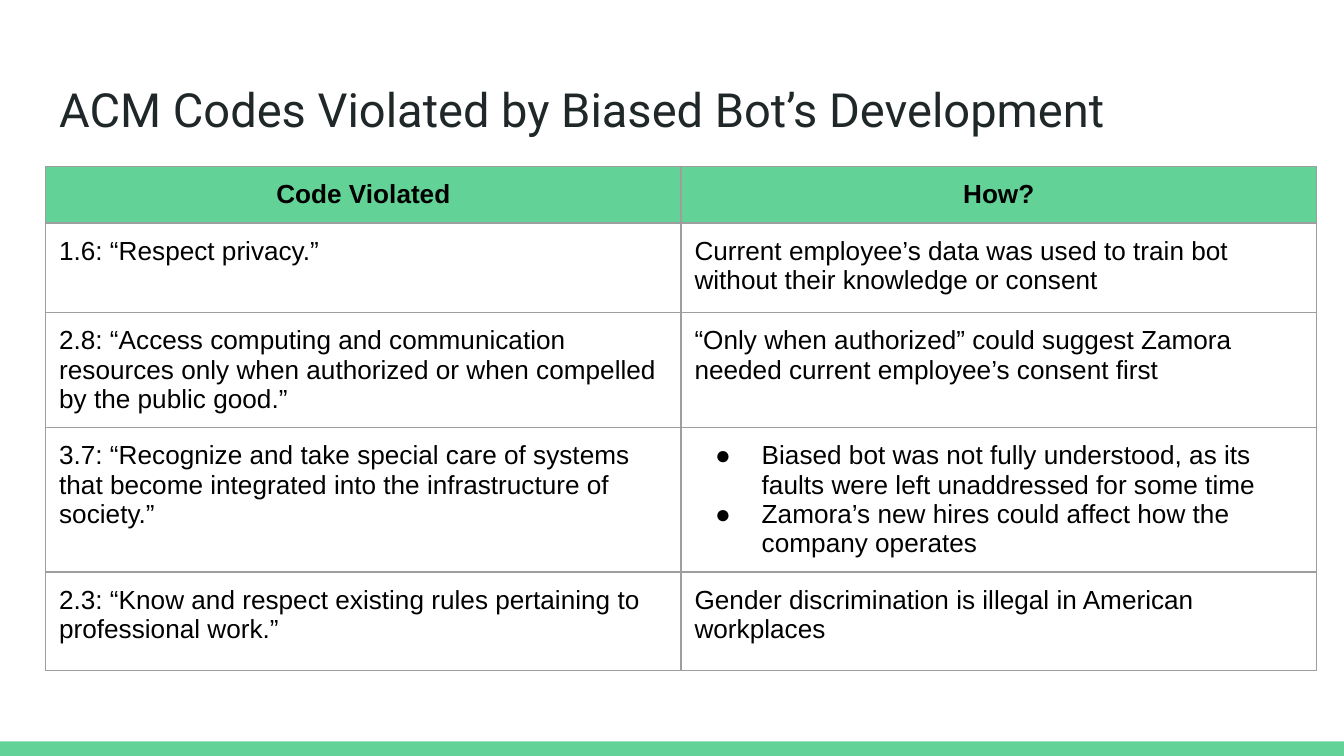
from dataclasses import dataclass

import pptx
import pptx.dml.color
import pptx.enum.shapes
import pptx.enum.text
import pptx.oxml
import pptx.oxml.ns
import pptx.util
from lxml import etree

Pt = pptx.util.Pt
RGBColor = pptx.dml.color.RGBColor


@dataclass(frozen=True)
class Theme:
    green: str = "63D297"
    ink: str = "202729"
    black: str = "000000"
    border: str = "9E9E9E"
    title_font: str = "Roboto"
    body_font: str = "Arial"
    title_size: float = 25.2
    body_size: float = 14
    inset: float = 7.2


theme = Theme()


def add_run(paragraph, text, font, size, color, bold=False):
    run = paragraph.add_run()
    run.text = text
    run.font.name = font
    run.font.size = Pt(size)
    run.font.bold = bold
    run.font.color.rgb = RGBColor.from_string(color)


def add_element(parent, tag, **attributes):
    return etree.SubElement(parent, pptx.oxml.ns.qn(tag), **attributes)


rows = [
    (28, ["Code Violated"], ["How?"]),
    (48, ["1.6: “Respect privacy.”"],
     ["Current employee’s data was used to train bot without their knowledge or consent"]),
    (59, ["2.8: “Access computing and communication resources only when authorized or when "
          "compelled by the public good.”"],
     ["“Only when authorized” could suggest Zamora needed current employee’s consent first"]),
    (74, ["3.7: “Recognize and take special care of systems that become integrated into the "
          "infrastructure of society.”"],
     ["Biased bot was not fully understood, as its faults were left unaddressed for some time",
      "Zamora’s new hires could affect how the company operates"]),
    (53, ["2.3: “Know and respect existing rules pertaining to professional work.”"],
     ["Gender discrimination is illegal in American workplaces"]),
]

presentation = pptx.Presentation()
presentation.slide_width = Pt(720)
presentation.slide_height = Pt(405)
slide = presentation.slides.add_slide(presentation.slide_layouts[5])

footer_bar = slide.shapes.add_shape(
    pptx.enum.shapes.MSO_SHAPE.RECTANGLE, Pt(0), Pt(397.2), Pt(720), Pt(7.8))
footer_bar.shadow.inherit = False
footer_bar.fill.solid()
footer_bar.fill.fore_color.rgb = RGBColor.from_string(theme.green)
footer_bar.line.fill.background()

title = slide.shapes.title
title.left, title.top, title.width, title.height = Pt(24.5), Pt(35.3), Pt(671), Pt(45.4)
frame = title.text_frame
frame.word_wrap = True
frame.auto_size = pptx.enum.text.MSO_AUTO_SIZE.NONE
frame.vertical_anchor = pptx.enum.text.MSO_ANCHOR.MIDDLE
frame.margin_left = frame.margin_right = Pt(theme.inset)
frame.margin_top = frame.margin_bottom = Pt(theme.inset)
frame.paragraphs[0].alignment = pptx.enum.text.PP_ALIGN.LEFT
add_run(frame.paragraphs[0], "ACM Codes Violated by Biased Bot’s Development",
        theme.title_font, theme.title_size, theme.ink)

column_width = 340.4
table = slide.shapes.add_table(
    len(rows), 2, Pt(24.5), Pt(89.3), Pt(2 * column_width),
    Pt(sum(row[0] for row in rows))).table
table.horz_banding = False
table.first_row = False
for column in table.columns:
    column.width = Pt(column_width)

for row_index, (height, *texts) in enumerate(rows):
    table.rows[row_index].height = Pt(height)
    is_header = row_index == 0
    for column_index, paragraphs in enumerate(texts):
        cell = table.cell(row_index, column_index)
        cell.margin_left = cell.margin_right = Pt(theme.inset)
        cell.margin_top = cell.margin_bottom = Pt(theme.inset)
        cell_properties = cell._tc.get_or_add_tcPr()
        for side in ("a:lnL", "a:lnR", "a:lnT", "a:lnB"):
            border = add_element(cell_properties, side, w=str(Pt(0.75)))
            add_element(add_element(border, "a:solidFill"), "a:srgbClr", val=theme.border)
        if is_header:
            cell.fill.solid()
            cell.fill.fore_color.rgb = RGBColor.from_string(theme.green)
        else:
            cell.fill.background()
        for index, text in enumerate(paragraphs):
            frame = cell.text_frame
            paragraph = frame.paragraphs[0] if index == 0 else frame.add_paragraph()
            if is_header:
                paragraph.alignment = pptx.enum.text.PP_ALIGN.CENTER
            if len(paragraphs) > 1:
                properties = paragraph._p.get_or_add_pPr()
                properties.set("marL", str(Pt(36)))
                properties.set("indent", str(-Pt(25)))
                add_element(add_element(properties, "a:buClr"), "a:srgbClr", val=theme.black)
                add_element(properties, "a:buFont", typeface=theme.body_font)
                add_element(properties, "a:buChar", char="●")
            add_run(paragraph, text, theme.body_font, theme.body_size, theme.black, is_header)

presentation.save("out.pptx")
